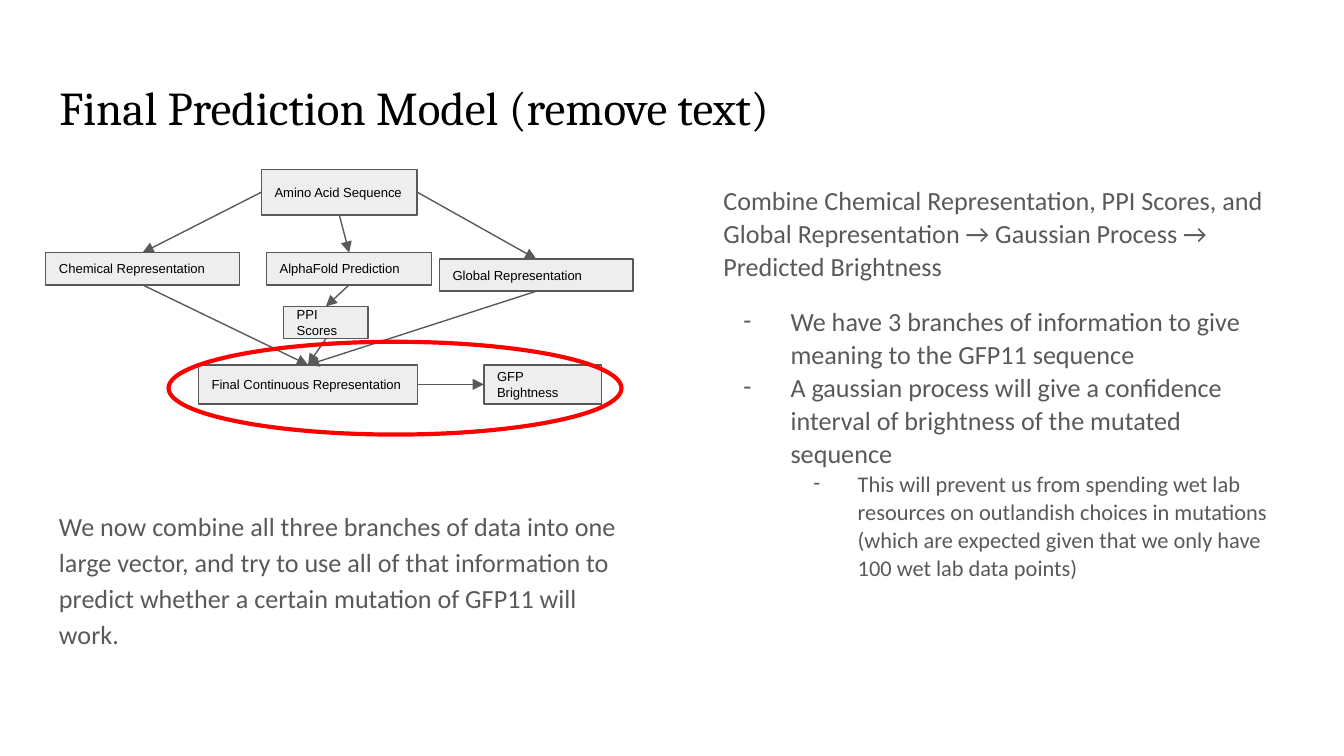
from lxml import etree
from pptx import Presentation
from pptx import util as u
from pptx.dml import color
from pptx.enum import shapes, text
from pptx.oxml import ns

UNIT = u.Inches(0.1)
COLS, ROWS = 100, 56.25
LEFT, COLUMN = 3.41, 43.7
GREY, BLACK, PALE, RED = "595959", "000000", "EEEEEE", "FF0000"
BODY = {"name": "Calibri", "size": u.Pt(14)}
SUB = {**BODY, "size": u.Pt(12)}
LABEL = {"name": "Arial", "size": u.Pt(7)}
TITLE = {"name": "Cambria", "size": u.Pt(25.2)}
FRAME = {"word_wrap": True, "auto_size": text.MSO_AUTO_SIZE.NONE,
         **{f"margin_{side}": UNIT for side in ("left", "top", "right", "bottom")}}
TOP, SIDE_L, BOTTOM, SIDE_R = range(4)

NODES = {
    "Amino Acid Sequence": (19.45, 12.6, 11.6, 3.4),
    "Chemical Representation": (LEFT, 18.8, 14.4, 2.4),
    "AlphaFold Prediction": (19.83, 18.8, 12.3, 2.4),
    "Global Representation": (32.7, 19.27, 14.4, 2.4),
    "PPI Scores": (21.1, 22.8, 6.3, 2.4),
    "Final Continuous Representation": (14.77, 27.15, 16.3, 2.9),
    "GFP Brightness": (36, 27.15, 8.75, 2.9),
}
LINKS = [
    ("Amino Acid Sequence", BOTTOM, "AlphaFold Prediction", TOP),
    ("Amino Acid Sequence", SIDE_L, "Chemical Representation", TOP),
    ("Amino Acid Sequence", SIDE_R, "Global Representation", TOP),
    ("AlphaFold Prediction", BOTTOM, "PPI Scores", TOP),
    ("Chemical Representation", BOTTOM, "Final Continuous Representation", TOP),
    ("PPI Scores", BOTTOM, "Final Continuous Representation", TOP),
    ("Global Representation", BOTTOM, "Final Continuous Representation", TOP),
    ("Final Continuous Representation", SIDE_R, "GFP Brightness", SIDE_L),
]
SUMMARY = ("We now combine all three branches of data into one large vector, and try to use all "
           "of that information to predict whether a certain mutation of GFP11 will work.")
INTRO = ("Combine Chemical Representation, PPI Scores, and Global Representation → "
         "Gaussian Process → Predicted Brightness")
BRANCHES = "We have 3 branches of information to give meaning to the GFP11 sequence"
PROCESS = ("A gaussian process will give a confidence interval of brightness "
           "of the mutated sequence")
SAVING = ("This will prevent us from spending wet lab resources on outlandish choices in mutations "
          "(which are expected given that we only have 100 wet lab data points)")


def rgb(value):
    """Return the colour for a hex string."""
    return color.RGBColor.from_string(value)


def grid(*cells):
    """Turn grid columns and rows into lengths."""
    return [round(c * UNIT) for c in cells]


def apply(obj, values):
    """Set every attribute given in a dict."""
    for name, value in values.items():
        setattr(obj, name, value)


def write(p, words, font, hue, **values):
    """Put one formatted run into a paragraph."""
    apply(p, {"alignment": text.PP_ALIGN.LEFT, **values})
    r = p.add_run()
    r.text = words
    apply(r.font, font)
    r.font.color.rgb = rgb(hue)


def bullet(p, indent, hang):
    """Give a paragraph a grey dash with a hanging indent."""
    pPr = p._p.get_or_add_pPr()
    pPr.set("marL", str(u.Inches(indent)))
    pPr.set("indent", str(-u.Inches(hang)))
    clr = etree.SubElement(pPr, ns.qn("a:buClr"))
    etree.SubElement(clr, ns.qn("a:srgbClr")).set("val", GREY)
    etree.SubElement(pPr, ns.qn("a:buFont")).set("typeface", BODY["name"])
    etree.SubElement(pPr, ns.qn("a:buChar")).set("char", "-")


def outline(sp, hue, width):
    """Set the colour and width of a line."""
    sp.line.color.rgb = rgb(hue)
    sp.line.width = u.Pt(width)


def title(s, words, box):
    """Place and fill the title placeholder."""
    sp = s.shapes.title
    apply(sp, dict(zip(("left", "top", "width", "height"), grid(*box))))
    apply(sp.text_frame, {**FRAME, "vertical_anchor": text.MSO_ANCHOR.TOP})
    write(sp.text_frame.paragraphs[0], words, TITLE, BLACK)


def body(s, box, items):
    """Add a text box of (words, font, indents, spacing) paragraphs."""
    tf = s.shapes.add_textbox(*grid(*box)).text_frame
    apply(tf, FRAME)
    for i, (words, font, indents, values) in enumerate(items):
        p = tf.add_paragraph() if i else tf.paragraphs[0]
        write(p, words, font, GREY, **values)
        if indents:
            bullet(p, *indents)


def node(s, words, box):
    """Add a labelled box of the flow diagram."""
    sp = s.shapes.add_shape(shapes.MSO_SHAPE.RECTANGLE, *grid(*box))
    sp.fill.solid()
    sp.fill.fore_color.rgb = rgb(PALE)
    outline(sp, GREY, 0.75)
    sp.shadow.inherit = False
    apply(sp.text_frame, {**FRAME, "vertical_anchor": text.MSO_ANCHOR.MIDDLE})
    write(sp.text_frame.paragraphs[0], words, LABEL, BLACK)
    return sp


def arrow(s, start, start_site, end, end_site):
    """Join two nodes with an arrow."""
    sp = s.shapes.add_connector(shapes.MSO_CONNECTOR.STRAIGHT, 0, 0, 0, 0)
    sp.begin_connect(start, start_site)
    sp.end_connect(end, end_site)
    outline(sp, GREY, 0.75)
    etree.SubElement(sp.line._get_or_add_ln(), ns.qn("a:tailEnd")).set("type", "triangle")
    etree.SubElement(sp._element.spPr, ns.qn("a:effectLst"))


def ring(s, box):
    """Circle part of the diagram in red."""
    sp = s.shapes.add_shape(shapes.MSO_SHAPE.OVAL, *grid(*box))
    sp.fill.background()
    outline(sp, RED, 2.25)
    sp.shadow.inherit = False
    sp.rotation = 180


def main():
    """Build and save the slide."""
    prs = Presentation()
    prs.slide_width, prs.slide_height = grid(COLS, ROWS)
    s = prs.slides.add_slide(prs.slide_layouts[5])
    title(s, "Final Prediction Model (remove text)", (LEFT, 4.87, COLS - 2 * LEFT, 6.3))
    body(s, (LEFT, 36.6, COLUMN, 19.2),
         [(SUMMARY, BODY, None, {"line_spacing": 1.15, "space_after": u.Pt(12)})])
    tight = {"line_spacing": 1.05}
    body(s, (52.84, 12.6, COLUMN, 37.4), [
        (INTRO, BODY, None, tight),
        (BRANCHES, BODY, (0.5, 0.35), {**tight, "space_before": u.Pt(12)}),
        (PROCESS, BODY, (0.5, 0.35), tight),
        (SAVING, SUB, (1, 0.33), {**tight, "level": 1}),
    ])
    nodes = {words: node(s, words, box) for words, box in NODES.items()}
    for start, start_site, end, end_site in LINKS:
        arrow(s, nodes[start], start_site, nodes[end], end_site)
    ring(s, (12.54, 25.43, 33.7, 6.9))
    prs.save("out.pptx")


main()
